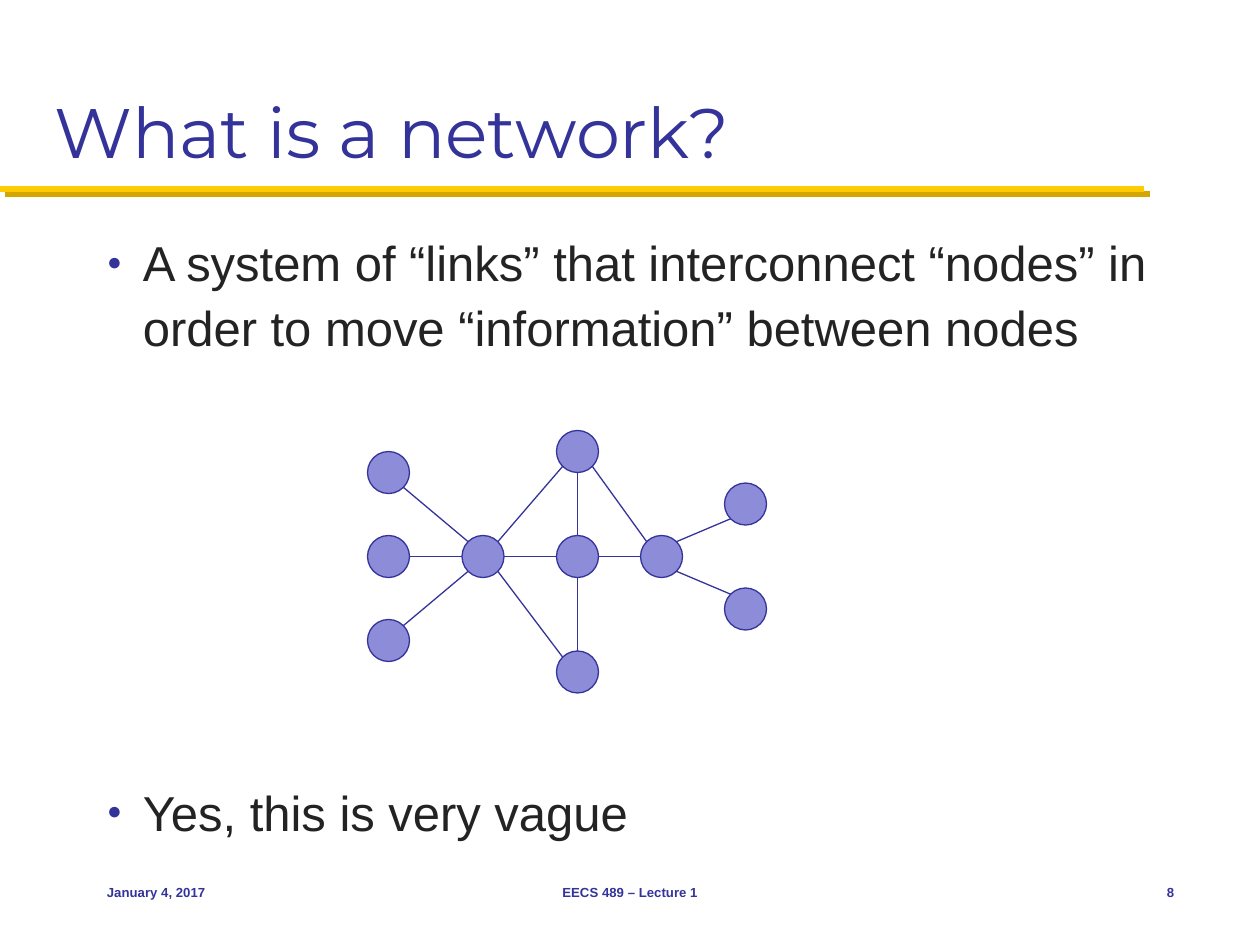
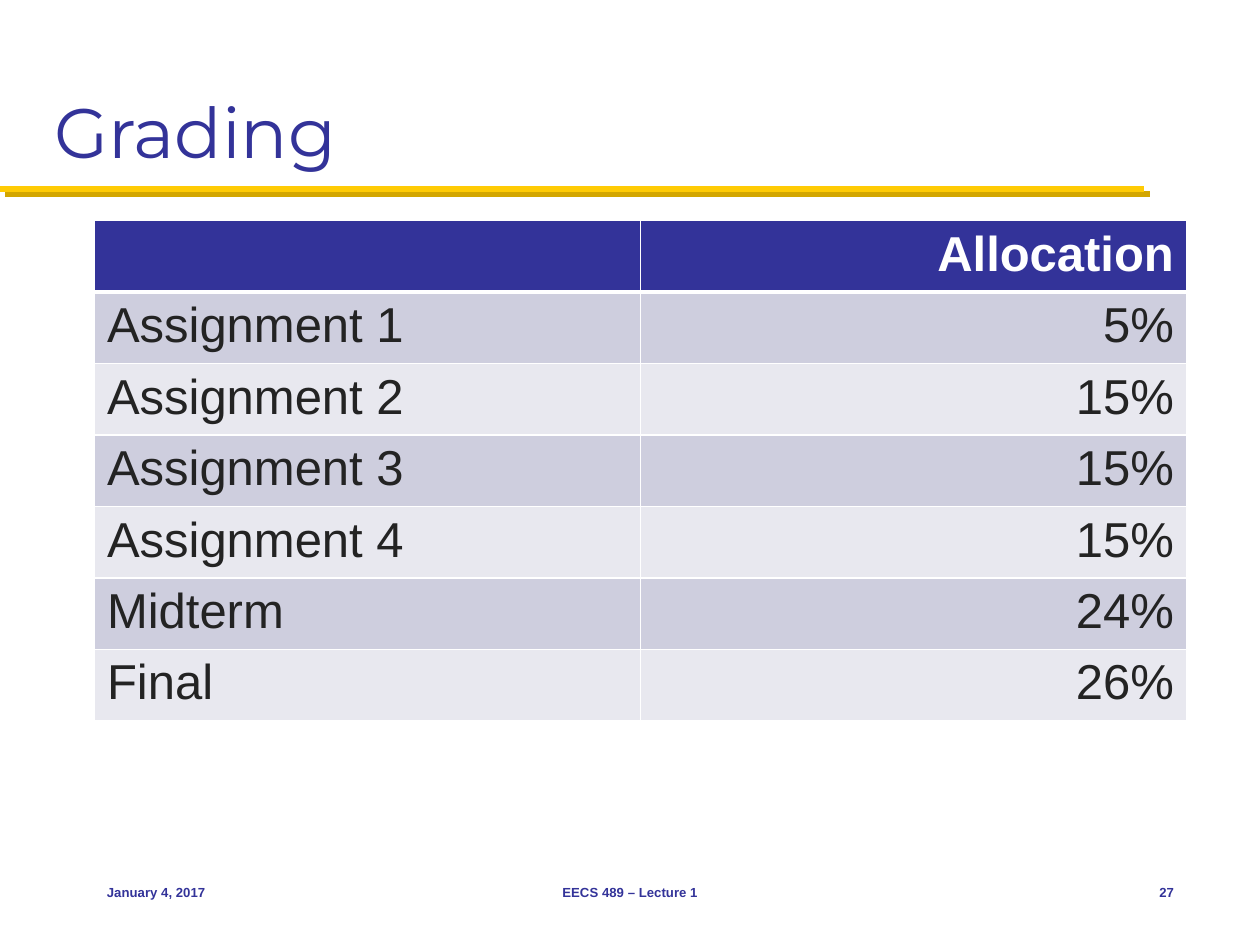
import lxml.etree
import pptx
import pptx.dml.color
import pptx.enum.shapes
import pptx.enum.text
import pptx.oxml.ns
import pptx.util

PX = 7620  # EMU per px, 120 px to the inch
NAVY, GOLD, DARK_GOLD, INK, WHITE = "333399", "FFCB05", "D3A600", "232323", "FFFFFF"
NODE_FILL, ODD_ROW, EVEN_ROW = "8C8CD9", "CECEDE", "E8E8EF"
ALIGN = pptx.enum.text.PP_ALIGN
ANCHOR = pptx.enum.text.MSO_ANCHOR
Pt = pptx.util.Pt
qn = pptx.oxml.ns.qn
rgb = pptx.dml.color.RGBColor.from_string


def set_font(para, name, size, colour, bold=False):
    para.font.name = name
    para.font.size = Pt(size)
    para.font.bold = bold
    para.font.color.rgb = rgb(colour)


def add_line(page, ends, colour, width):
    """Add a straight line and return its empty effect list."""
    line = page.shapes.add_connector(
        pptx.enum.shapes.MSO_CONNECTOR.STRAIGHT, *[PX * value for value in ends])
    line.line.color.rgb = rgb(colour)
    line.line.width = Pt(width)
    return lxml.etree.SubElement(line._element.spPr, qn("a:effectLst"))


deck = pptx.Presentation()
deck.slide_width, deck.slide_height = 1200 * PX, 900 * PX

# Title, gold rule and footer of every slide
pages = []
for layout, title_text, number in ((1, "What is a network?", "8"), (5, "Grading", "27")):
    page = deck.slides.add_slide(deck.slide_layouts[layout])
    pages.append(page)

    effects = add_line(page, (0, 180, 1090, 180), GOLD, 3.5)
    shadow = lxml.etree.SubElement(
        effects, qn("a:outerShdw"), dist=str(Pt(4.2)), dir="2700000", algn="ctr", rotWithShape="0")
    lxml.etree.SubElement(shadow, qn("a:srgbClr"), val=DARK_GOLD)

    title = page.shapes.title
    title.left, title.top, title.width, title.height = 40 * PX, 20 * PX, 1120 * PX, 150 * PX
    title.text_frame.text = title_text
    title.text_frame.auto_size = pptx.enum.text.MSO_AUTO_SIZE.NONE
    title.text_frame.vertical_anchor = ANCHOR.BOTTOM
    para = title.text_frame.paragraphs[0]
    para.alignment = ALIGN.LEFT
    set_font(para, "Montserrat", 40, NAVY)

    for left, width, text, alignment in (
            (90, 250, "January 4, 2017", ALIGN.LEFT),
            (410, 380, "EECS 489 – Lecture 1", ALIGN.CENTER),
            (1050, 80, number, ALIGN.RIGHT)):
        box = page.shapes.add_textbox(left * PX, 820 * PX, width * PX, 60 * PX)
        box.text_frame.word_wrap = True
        box.text_frame.vertical_anchor = ANCHOR.MIDDLE
        para = box.text_frame.paragraphs[0]
        para.text = text
        para.alignment = alignment
        set_font(para, "Arial", 7.5, NAVY, bold=True)

network_page, grading_page = pages

# Bullets, with room for the network between them
body = network_page.placeholders[1]
body.left, body.top, body.width, body.height = 90 * PX, 210 * PX, 1040 * PX, 580 * PX
body.text_frame.auto_size = pptx.enum.text.MSO_AUTO_SIZE.NONE
body.text_frame.text = (
    "A system of “links” that interconnect “nodes” in order to move “information” between nodes\n"
    "Yes, this is very vague")
for para, space_before in zip(body.text_frame.paragraphs, (0, 240)):
    para.line_spacing = 1.1
    para.space_before = Pt(space_before)
    properties = para._p.get_or_add_pPr()
    properties.set("marL", str(34 * PX))
    properties.set("indent", str(-34 * PX))
    bullet_colour = lxml.etree.SubElement(properties, qn("a:buClr"))
    lxml.etree.SubElement(bullet_colour, qn("a:srgbClr"), val=NAVY)
    lxml.etree.SubElement(properties, qn("a:buSzPct"), val="50000")
    lxml.etree.SubElement(properties, qn("a:buFont"), typeface="Arial")
    lxml.etree.SubElement(properties, qn("a:buChar"), char="●")
    set_font(para, "Arial", 28, INK)

# Network: node centres, then links as (node, side, node, side)
RADIUS = 20
nodes = {
    "top": (550, 430), "hub": (460, 530), "bottom": (550, 640), "middle": (550, 530),
    "gateway": (630, 530), "lower right": (710, 580), "upper right": (710, 480),
    "upper left": (370, 450), "left": (370, 530), "lower left": (370, 610),
}
sides = {
    "N": (0, -20), "E": (20, 0), "S": (0, 20), "W": (-20, 0),
    "NE": (14, -14), "SE": (14, 14), "SW": (-14, 14), "NW": (-14, -14),
}
links = (
    ("upper left", "SE", "hub", "NW"), ("left", "E", "hub", "W"),
    ("lower left", "NE", "hub", "SW"), ("bottom", "N", "middle", "S"),
    ("middle", "N", "top", "S"), ("hub", "E", "middle", "W"),
    ("gateway", "W", "middle", "E"), ("gateway", "NE", "upper right", "SW"),
    ("gateway", "SE", "lower right", "NW"), ("hub", "NE", "top", "SW"),
    ("hub", "SE", "bottom", "NW"), ("top", "SE", "gateway", "NW"),
)
for x, y in nodes.values():
    node = network_page.shapes.add_shape(
        pptx.enum.shapes.MSO_SHAPE.OVAL,
        (x - RADIUS) * PX, (y - RADIUS) * PX, 2 * RADIUS * PX, 2 * RADIUS * PX)
    node.shadow.inherit = False
    node.fill.solid()
    node.fill.fore_color.rgb = rgb(NODE_FILL)
    node.line.color.rgb = rgb(NAVY)
    node.line.width = Pt(0.75)
for start, start_side, end, end_side in links:
    ends = [centre + offset
            for name, side in ((start, start_side), (end, end_side))
            for centre, offset in zip(nodes[name], sides[side])]
    add_line(network_page, ends, NAVY, 0.75)

# Grading table
grades = (
    ("", "Allocation"), ("Assignment 1", "5%"), ("Assignment 2", "15%"),
    ("Assignment 3", "15%"), ("Assignment 4", "15%"), ("Midterm", "24%"), ("Final", "26%"),
)
ROW_HEIGHT = 64
table = grading_page.shapes.add_table(
    len(grades), 2, 90 * PX, 210 * PX, 1040 * PX, len(grades) * ROW_HEIGHT * PX).table
for row, texts in enumerate(grades):
    header = row == 0
    for column, text in enumerate(texts):
        cell = table.cell(row, column)
        cell.fill.solid()
        cell.fill.fore_color.rgb = rgb(NAVY if header else ODD_ROW if row % 2 else EVEN_ROW)
        para = cell.text_frame.paragraphs[0]
        para.text = text
        para.alignment = ALIGN.RIGHT if column else ALIGN.LEFT
        set_font(para, "Arial", 28, WHITE if header else INK, bold=header)
        widths = {"lnL": 1, "lnR": 1, "lnT": 3 if row == 1 else 1, "lnB": 3 if header else 1}
        for position, (edge, width) in enumerate(widths.items()):
            border = lxml.etree.Element(qn("a:" + edge), w=str(Pt(width)))
            fill = lxml.etree.SubElement(border, qn("a:solidFill"))
            lxml.etree.SubElement(fill, qn("a:srgbClr"), val=WHITE)
            cell._tc.get_or_add_tcPr().insert(position, border)

deck.save("out.pptx")
